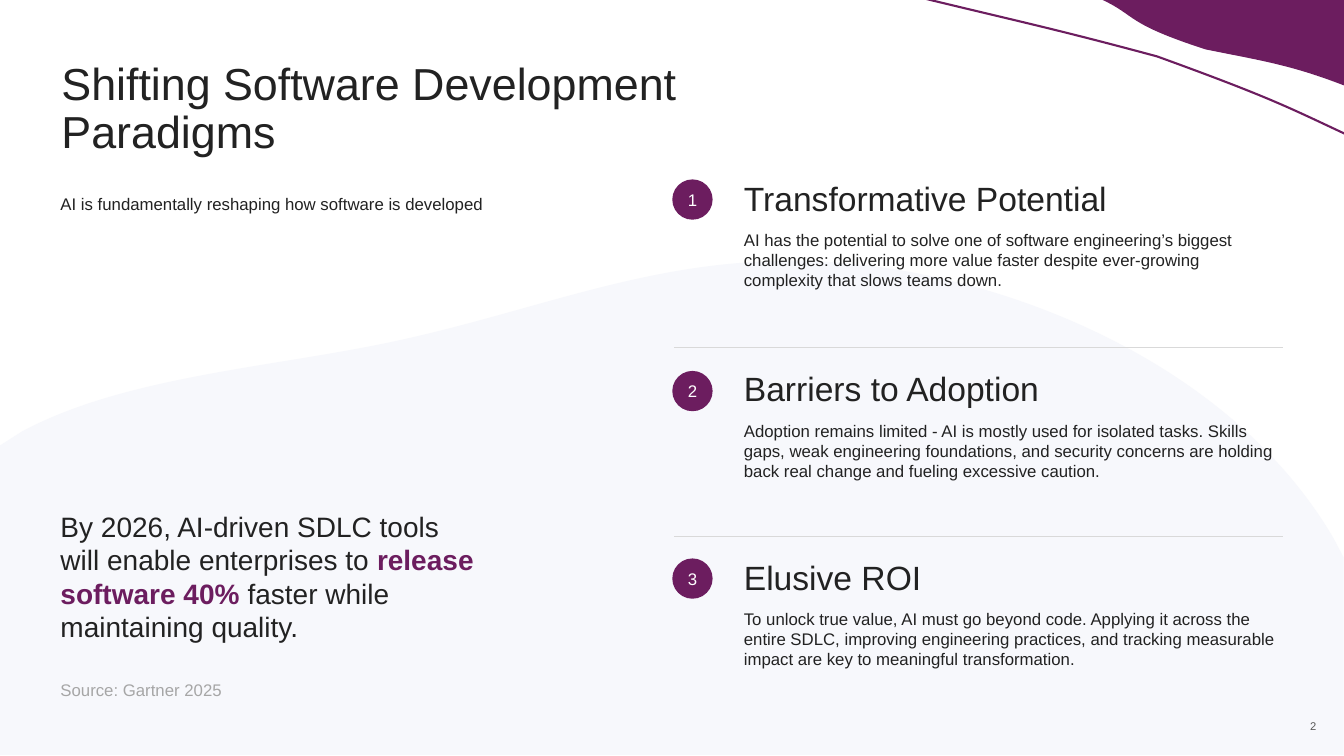
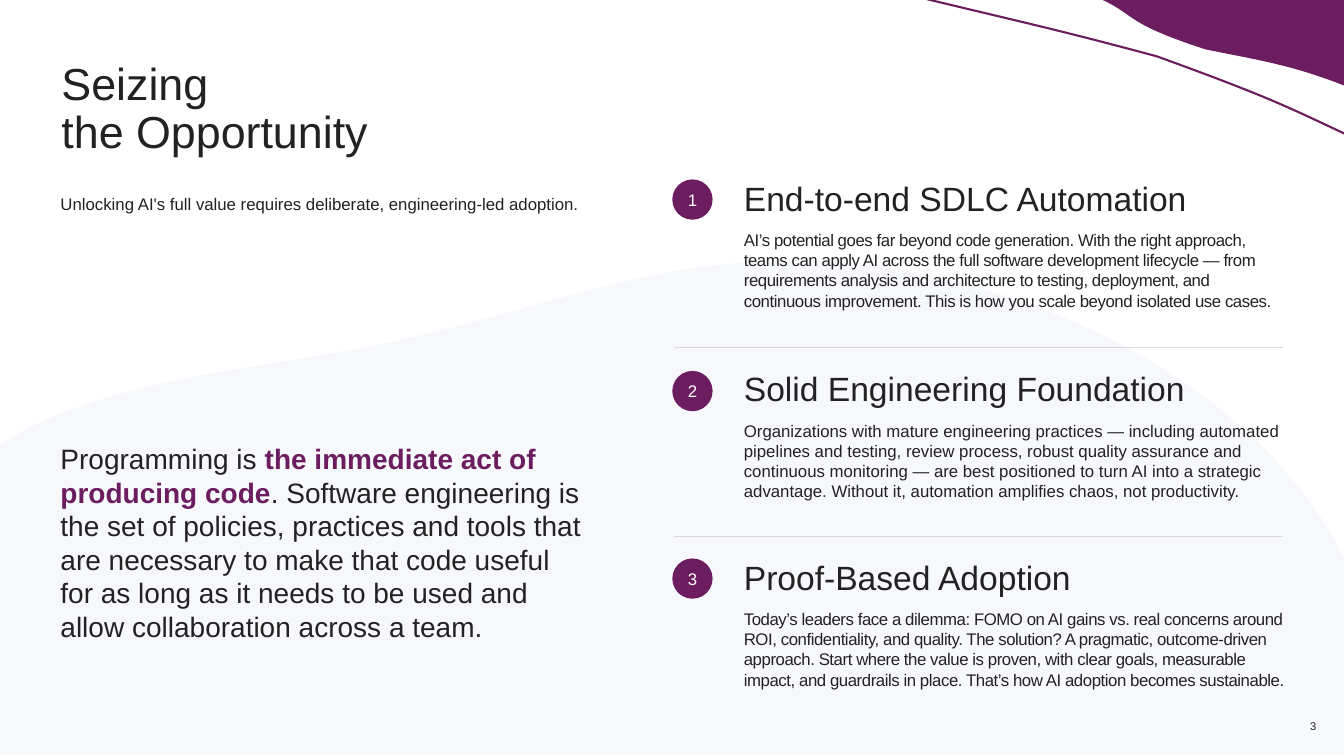
from lxml import etree
from pptx import Presentation
from pptx.dml.color import RGBColor
from pptx.enum.shapes import MSO_CONNECTOR, MSO_SHAPE
from pptx.enum.text import MSO_ANCHOR, PP_ALIGN
from pptx.oxml.ns import qn
from pptx.util import Inches, Pt

PLUM = RGBColor(0x6C, 0x1D, 0x5F)
INK = RGBColor(0x22, 0x22, 0x22)
SLATE = RGBColor(0x59, 0x59, 0x59)
SOURCE_GRAY = RGBColor(0xA6, 0xA6, 0xA6)
RULE_GRAY = RGBColor(0xD9, 0xD9, 0xD9)
MIST = RGBColor(0xF7, 0xF8, 0xFC)
WHITE = RGBColor(0xFF, 0xFF, 0xFF)

FONT = "Arial"
CENTER = PP_ALIGN.CENTER
TOP, MIDDLE = MSO_ANCHOR.TOP, MSO_ANCHOR.MIDDLE
OVAL = MSO_SHAPE.OVAL
STRAIGHT = MSO_CONNECTOR.STRAIGHT

SLIDES = [
    {
        "number": "2",
        "number_color": SLATE,
        "title": ["Shifting Software Development Paradigms"],
        "lead": "AI is fundamentally reshaping how software is developed",
        "quote_top": 5.05,
        "quote": [
            ("By 2026, AI-driven SDLC tools\nwill enable enterprises to ", False),
            ("release software 40%", True),
            (" faster while\nmaintaining quality.", False),
        ],
        "source": "Source: Gartner 2025",
        "steps": [
            ("Transformative Potential",
             "AI has the potential to solve one of software engineering’s biggest challenges: "
             "delivering more value faster despite ever-growing complexity that slows teams down.",
             5.35, 0),
            ("Barriers to Adoption",
             "Adoption remains limited - AI is mostly used for isolated tasks. Skills gaps, weak "
             "engineering foundations, and security concerns are holding back real change and "
             "fueling excessive caution.",
             5.35, 0),
            ("Elusive ROI",
             "To unlock true value, AI must go beyond code. Applying it across the entire SDLC, "
             "improving engineering practices, and tracking measurable impact are key to "
             "meaningful transformation.",
             5.35, 0),
        ],
    },
    {
        "number": "3",
        "number_color": INK,
        "title": ["Seizing", "the Opportunity"],
        "lead": "Unlocking AI's full value requires deliberate, engineering-led adoption.",
        "quote_top": 4.38,
        "quote": [
            ("Programming is ", False),
            ("the immediate act of producing code", True),
            (". Software engineering is the set of policies, practices and tools that are "
             "necessary to make that code useful for as long as it needs to be used and allow "
             "collaboration across a team.", False),
        ],
        "source": None,
        "steps": [
            ("End-to-end SDLC Automation",
             "AI’s potential goes far beyond code generation. With the right approach, teams can "
             "apply AI across the full software development lifecycle — from requirements "
             "analysis and architecture to testing, deployment, and continuous improvement. "
             "This is how you scale beyond isolated use cases.",
             5.35, -0.3),
            ("Solid Engineering Foundation",
             "Organizations with mature engineering practices — including automated pipelines "
             "and testing, review process, robust quality assurance and continuous monitoring — "
             "are best positioned to turn AI into a strategic advantage. Without it, automation "
             "amplifies chaos, not productivity.",
             5.35, 0),
            ("Proof-Based Adoption",
             "Today’s leaders face a dilemma: FOMO on AI gains vs. real concerns around ROI, "
             "confidentiality, and quality. The solution? A pragmatic, outcome-driven approach. "
             "Start where the value is proven, with clear goals, measurable impact, and "
             "guardrails in place. That’s how AI adoption becomes sustainable.",
             5.44, -0.3),
        ],
    },
]

HILL = [
    (7.74, 2.59),
    (7.94, 2.58, 8.14, 2.59, 8.35, 2.61),
    (10.05, 2.74, 12.23, 3.63, 13.23, 5.34),
    (13.33, 5.53), (13.33, 7.49), (0, 7.49), (0, 4.42), (0.22, 4.28),
    (1.23, 3.74, 2.65, 3.65, 3.85, 3.4),
    (5.24, 3.11, 6.35, 2.61, 7.74, 2.59),
]
SWOOSH = [
    (9.19, -0.01),
    (10.14, 0.22, 10.48, 0.29, 11.48, 0.56),
    (12.61, 0.97, 12.77, 1.06, 13.37, 1.34),
]
CORNER = [
    (10.94, 0), (13.34, 0),
    (13.34, 0.28, 13.34, 0.56, 13.34, 0.85),
    (12.8, 0.64, 12.5, 0.6, 11.96, 0.49),
    (11.16, 0.23, 11.28, 0.16, 10.94, 0),
]

STEP_TOPS = [(1.78, 1.81), (3.68, 3.7), (5.54, 5.57)]
BODY_DROP, RULE_RISE = 0.47, 0.25
BADGE_LEFT, BADGE_SIZE = 6.67, 0.4
RULE_LEFT, RULE_RIGHT = 6.69, 12.73
STEP_LEFT = 7.38


def bend_segments(outline, segments):
    straight_parts = list(outline._element.iter(qn("a:lnTo")))
    for part, segment in zip(straight_parts, segments):
        if len(segment) == 2:
            continue
        curve = etree.Element(qn("a:cubicBezTo"))
        for x, y in zip(segment[::2], segment[1::2]):
            etree.SubElement(curve, qn("a:pt"), x=str(Inches(x) - outline.left),
                             y=str(Inches(y) - outline.top))
        part.getparent().replace(part, curve)


def add_outline(slide, segments, fill=None, line=None):
    first, *others = [(Inches(s[-2]), Inches(s[-1])) for s in segments]
    builder = slide.shapes.build_freeform(*first)
    builder.add_line_segments(others, close=fill is not None)
    outline = builder.convert_to_shape()
    bend_segments(outline, segments[1:])
    outline.shadow.inherit = False
    if fill is None:
        outline.fill.background()
        outline.line.color.rgb = line
        outline.line.width = Pt(1.5)
    else:
        outline.fill.solid()
        outline.fill.fore_color.rgb = fill
        outline.line.fill.background()


def write_text(shape, paragraphs, size=12, color=INK, align=None, anchor=TOP,
               line_spacing=None, tracking=0):
    frame = shape.text_frame
    frame.word_wrap = True
    frame.vertical_anchor = anchor
    frame.margin_left = frame.margin_right = frame.margin_top = frame.margin_bottom = 0
    for index, content in enumerate(paragraphs):
        paragraph = frame.paragraphs[0] if index == 0 else frame.add_paragraph()
        paragraph.alignment = align
        paragraph.line_spacing = line_spacing
        pieces = [(content, False)] if isinstance(content, str) else content
        for piece, strong in pieces:
            for number, text in enumerate(piece.split("\n")):
                if number:
                    paragraph.add_line_break()
                run = paragraph.add_run()
                run.text = text
                run.font.name = FONT
                run.font.size = Pt(size)
                run.font.bold = strong
                run.font.color.rgb = PLUM if strong else color
                if tracking:
                    run.font._element.set("spc", str(round(tracking * 100)))
    return frame


def add_text(slide, left, top, width, height, paragraphs, **style):
    box = slide.shapes.add_textbox(Inches(left), Inches(top), Inches(width), Inches(height))
    return write_text(box, paragraphs, **style)


def add_rule(slide, top):
    rule = slide.shapes.add_connector(
        STRAIGHT, Inches(RULE_LEFT), Inches(top), Inches(RULE_RIGHT), Inches(top))
    rule.line.color.rgb = RULE_GRAY
    rule.line.width = Pt(1)
    etree.SubElement(rule._element.spPr, qn("a:effectLst"))


def add_step(slide, number, tops, heading, body, body_width, tracking):
    badge_top, top = tops
    if number > 1:
        add_rule(slide, top - RULE_RISE)
    badge = slide.shapes.add_shape(
        OVAL, Inches(BADGE_LEFT), Inches(badge_top),
        Inches(BADGE_SIZE), Inches(BADGE_SIZE))
    badge.shadow.inherit = False
    badge.fill.solid()
    badge.fill.fore_color.rgb = PLUM
    badge.line.fill.background()
    write_text(badge, [str(number)], color=WHITE, align=CENTER, anchor=MIDDLE)
    add_text(slide, STEP_LEFT, top, 5.58, 0.36, [heading], size=24, line_spacing=0.9)
    add_text(slide, STEP_LEFT, top + BODY_DROP, body_width, 0.81, [body], tracking=tracking)


def add_quote(slide, top, quote, source):
    frame = add_text(slide, 0.6, top, 5.2, 2, [quote], size=20)
    if source:
        credit = frame.add_paragraph()
        credit.space_before = Pt(26)
        run = credit.add_run()
        run.text = source
        run.font.name = FONT
        run.font.size = Pt(12)
        run.font.color.rgb = SOURCE_GRAY


def build_slide(deck, content):
    slide = deck.slides.add_slide(deck.slide_layouts[6])
    add_outline(slide, HILL, fill=MIST)
    add_outline(slide, SWOOSH, line=PLUM)
    add_outline(slide, CORNER, fill=PLUM)
    add_text(slide, 0.61, 0.61, 7.1, 0.97, content["title"], size=32, line_spacing=0.9)
    add_text(slide, 0.6, 1.88, 5.58, 0.22, [content["lead"]], line_spacing=1.2)
    add_quote(slide, content["quote_top"], content["quote"], content["source"])
    for number, (tops, step) in enumerate(zip(STEP_TOPS, content["steps"]), 1):
        add_step(slide, number, tops, *step)
    add_text(slide, 12.73, 6.9, 0.6, 0.6, [content["number"]], size=8,
             color=content["number_color"], align=CENTER, anchor=MIDDLE)


def main():
    deck = Presentation()
    deck.slide_width = Inches(40 / 3)
    deck.slide_height = Inches(7.5)
    for content in SLIDES:
        build_slide(deck, content)
    deck.save("out.pptx")


if __name__ == "__main__":
    main()
